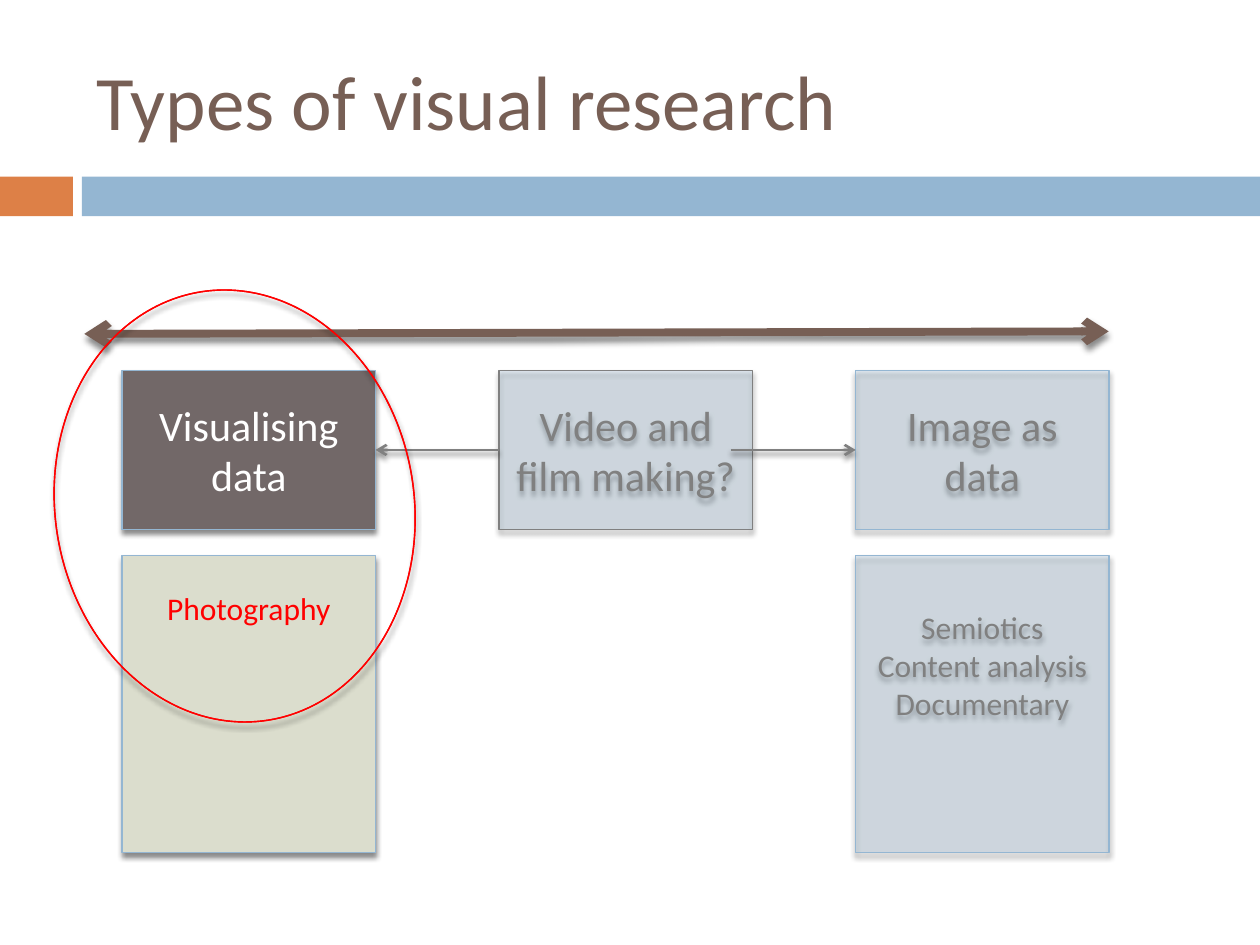
from lxml import etree
from pptx import Presentation
from pptx.dml.color import RGBColor
from pptx.enum.shapes import MSO_CONNECTOR, MSO_SHAPE
from pptx.enum.text import MSO_ANCHOR, PP_ALIGN
from pptx.oxml.ns import qn
from pptx.util import Cm, Pt

FONT = "Calibri"
BROWN, BLUE, ORANGE, GREY, RED = "775F55", "94B6D2", "DD8047", "808080", "FF0000"
TITLE = "Types of visual research"
BANDS = [(0, 1.47, ORANGE), (1.65, 23.75, BLUE)]

COLUMN_LEFTS = {"visualising": 2.46, "video": 10.06, "image": 17.25}
BOX_WIDTH = 5.11
HEADING_TOP, HEADING_HEIGHT = 7.47, 3.2
METHODS_TOP, METHODS_HEIGHT = 11.2, 5.99
PALE = 26  # opacity of the subdued boxes, in percent

HEADINGS = [
    ("image", "Image as data", BLUE, PALE, BLUE, GREY),
    ("visualising", "Visualising data", "726868", None, BLUE, "FFFFFF"),
    ("video", "Video and film making?", BLUE, PALE, GREY, GREY),
]
METHODS = [
    ("visualising", ["Photography"], "DBDDCD", None, RED, 0.67),
    ("image", ["Semiotics", "Content analysis", "Documentary"], BLUE, PALE, GREY, 1.06),
]


def color(value):
    return RGBColor.from_string(value)


def add_element(parent, tag, **attributes):
    element = etree.SubElement(parent, qn(tag))
    for name, value in attributes.items():
        element.set(name, str(value))
    return element


def add_shadow(shape):
    """Add a soft downward shadow; call it after the line is set."""
    effects = add_element(shape._element.spPr, "a:effectLst")
    shadow = add_element(effects, "a:outerShdw", blurRad=Pt(3), dist=Pt(2.4),
                         dir=90 * 60000, rotWithShape=0)
    black = add_element(shadow, "a:srgbClr", val="000000")
    add_element(black, "a:alpha", val=45000)


def write(frame, lines, size, text_color, align=PP_ALIGN.CENTER, anchor=MSO_ANCHOR.MIDDLE):
    frame.word_wrap = True
    frame.vertical_anchor = anchor
    for index, line in enumerate(lines):
        para = frame.paragraphs[0] if index == 0 else frame.add_paragraph()
        para.alignment = align
        span = para.add_run()
        span.text = line
        span.font.name = FONT
        span.font.size = Pt(size)
        span.font.color.rgb = color(text_color)


def add_box(page, left, top, width, height, fill, opacity=None, line=None,
            kind=MSO_SHAPE.RECTANGLE):
    box = page.shapes.add_shape(kind, Cm(left), Cm(top), Cm(width), Cm(height))
    box.fill.solid()
    box.fill.fore_color.rgb = color(fill)
    if opacity:
        fill_color = box._element.spPr.find(qn("a:solidFill"))[0]
        add_element(fill_color, "a:alpha", val=opacity * 1000)
    if line:
        box.line.color.rgb = color(line)
        box.line.width = Pt(0.79)
        add_shadow(box)
    else:
        box.line.fill.background()
        box.shadow.inherit = False
    return box


def add_arrow(page, start, end, line, width, both_ends=False):
    arrow = page.shapes.add_connector(MSO_CONNECTOR.STRAIGHT, *map(Cm, start + end))
    arrow.line.color.rgb = color(line)
    arrow.line.width = Pt(width)
    outline = arrow.line._get_or_add_ln()
    if both_ends:
        add_element(outline, "a:headEnd", type="arrow")
    add_element(outline, "a:tailEnd", type="arrow")
    add_shadow(arrow)
    return arrow


def main():
    deck = Presentation()
    deck.slide_width, deck.slide_height = Cm(25.4), Cm(19.05)
    page = deck.slides.add_slide(deck.slide_layouts[5])

    for left, width, fill in BANDS:
        add_box(page, left, 3.56, width, 0.8, fill)

    title = page.shapes.title
    title.left, title.top, title.width, title.height = Cm(1.7), Cm(0.64), Cm(22.66), Cm(2.74)
    write(title.text_frame, [TITLE], 44, BROWN, align=PP_ALIGN.LEFT)

    add_arrow(page, (1.7, 6.73), (22.35, 6.68), BROWN, 4.5, both_ends=True)

    headings = {}
    for column, text, fill, opacity, line, text_color in HEADINGS:
        box = add_box(page, COLUMN_LEFTS[column], HEADING_TOP, BOX_WIDTH, HEADING_HEIGHT,
                      fill, opacity, line)
        write(box.text_frame, [text], 24, text_color)
        headings[column] = box

    for column, lines, fill, opacity, text_color, inset in METHODS:
        box = add_box(page, COLUMN_LEFTS[column], METHODS_TOP, BOX_WIDTH, METHODS_HEIGHT,
                      fill, opacity, BLUE)
        box.text_frame.margin_top = Cm(inset)
        write(box.text_frame, lines, 18, text_color, anchor=MSO_ANCHOR.TOP)

    middle = HEADING_TOP + HEADING_HEIGHT / 2
    to_image = add_arrow(page, (14.73, middle), (COLUMN_LEFTS["image"], middle), GREY, 1.5)
    to_image.end_connect(headings["image"], 1)
    to_visualising = add_arrow(page, (COLUMN_LEFTS["video"], middle),
                               (COLUMN_LEFTS["visualising"] + BOX_WIDTH, middle), GREY, 1.5)
    to_visualising.begin_connect(headings["video"], 1)
    to_visualising.end_connect(headings["visualising"], 3)

    ring = add_box(page, 0.36, 6.58, 8.74, 7.24, BLUE, line=RED, kind=MSO_SHAPE.DONUT)
    ring.adjustments[0] = 0
    ring.rotation = 81.2

    deck.save("out.pptx")


if __name__ == "__main__":
    main()
